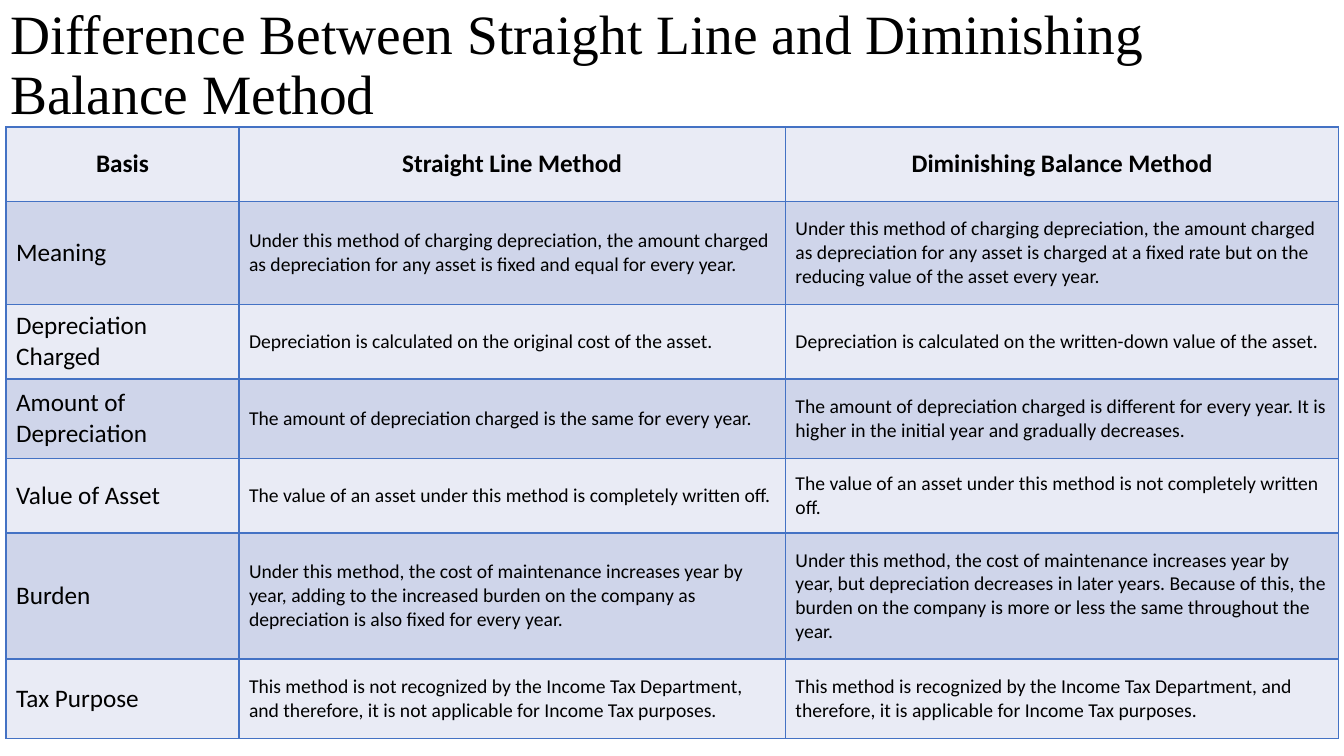
"""Build a slide that compares two methods of depreciation."""
from dataclasses import dataclass

from lxml import etree
from pptx import Presentation
from pptx.dml.color import RGBColor
from pptx.enum.text import MSO_ANCHOR, MSO_AUTO_SIZE, PP_ALIGN
from pptx.oxml.ns import qn
from pptx.util import Inches, Pt

MIDDLE = MSO_ANCHOR.MIDDLE
FIXED = MSO_AUTO_SIZE.NONE
LEFT, CENTER = PP_ALIGN.LEFT, PP_ALIGN.CENTER
COLORS = {"ink": "000000", "line": "4472C4", "pale": "E9EBF5", "band": "CFD5EA"}
TITLE = "Difference Between Straight Line and Diminishing Balance Method"
COLS = (2.31, 5.42, 5.49)


@dataclass
class Row:
    """One row of the table, with its height in inches."""
    height: float
    basis: str
    straight: str
    falling: str


ROWS = [
    Row(0.74, "Basis", "Straight Line Method", "Diminishing Balance Method"),
    Row(1.02, "Meaning",
        "Under this method of charging depreciation, the amount charged as "
        "depreciation for any asset is fixed and equal for every year.",
        "Under this method of charging depreciation, the amount charged as "
        "depreciation for any asset is charged at a fixed rate but on the "
        "reducing value of the asset every year."),
    Row(0.74, "Depreciation Charged",
        "Depreciation is calculated on the original cost of the asset.",
        "Depreciation is calculated on the written-down value of the asset."),
    Row(0.79, "Amount of Depreciation",
        "The amount of depreciation charged is the same for every year.",
        "The amount of depreciation charged is different for every year. "
        "It is higher in the initial year and gradually decreases."),
    Row(0.74, "Value of Asset",
        "The value of an asset under this method is completely written off.",
        "The value of an asset under this method is not completely written off."),
    Row(1.25, "Burden",
        "Under this method, the cost of maintenance increases year by year, "
        "adding to the increased burden on the company as depreciation is "
        "also fixed for every year.",
        "Under this method, the cost of maintenance increases year by year, "
        "but depreciation decreases in later years. Because of this, the "
        "burden on the company is more or less the same throughout the year."),
    Row(0.79, "Tax Purpose",
        "This method is not recognized by the Income Tax Department, and "
        "therefore, it is not applicable for Income Tax purposes.",
        "This method is recognized by the Income Tax Department, and "
        "therefore, it is applicable for Income Tax purposes."),
]


def apply(target, values: dict) -> None:
    """Set each named attribute on the target."""
    for name, value in values.items():
        setattr(target, name, value)


def write(frame, text: str, para: dict, font: dict) -> None:
    """Put one formatted paragraph in a text frame."""
    line = frame.paragraphs[0]
    apply(line, para)
    run = line.add_run()
    run.text = text
    apply(run.font, font)
    run.font.color.rgb = RGBColor.from_string(COLORS["ink"])


def border(cell) -> None:
    """Draw a thin line on all four sides of a cell."""
    props = cell._tc.get_or_add_tcPr()
    for place, side in enumerate(("a:lnL", "a:lnR", "a:lnT", "a:lnB")):
        line = etree.Element(qn(side), w=str(Pt(1)))
        fill = etree.SubElement(line, qn("a:solidFill"))
        etree.SubElement(fill, qn("a:srgbClr"), val=COLORS["line"])
        props.insert(place, line)


def draw_table(slide) -> None:
    """Add the table and fill its cells."""
    high = sum(row.height for row in ROWS)
    table = slide.shapes.add_table(
        len(ROWS), len(COLS), Inches(0.06), Inches(1.26),
        Inches(sum(COLS)), Inches(high)).table
    apply(table, {"first_row": False, "horz_banding": False})
    for col, width in zip(table.columns, COLS):
        col.width = Inches(width)
    for r, row in enumerate(ROWS):
        table.rows[r].height = Inches(row.height)
        shade = COLORS["band" if r % 2 else "pale"]
        for c, text in enumerate((row.basis, row.straight, row.falling)):
            cell = table.cell(r, c)
            cell.vertical_anchor = MIDDLE
            cell.fill.solid()
            cell.fill.fore_color.rgb = RGBColor.from_string(shade)
            border(cell)
            head = r == 0
            size = Pt(18 if head or c == 0 else 14)
            write(cell.text_frame, text, {"alignment": CENTER if head else LEFT},
                  {"name": "Calibri", "size": size, "bold": head})


def draw_title(slide) -> None:
    """Place and format the title."""
    title = slide.shapes.title
    apply(title, {"left": Inches(0), "top": Inches(0),
                  "width": Inches(12.61), "height": Inches(1.32)})
    apply(title.text_frame, {"auto_size": FIXED, "word_wrap": True,
                             "vertical_anchor": MIDDLE})
    write(title.text_frame, TITLE, {"alignment": LEFT, "line_spacing": 0.9},
          {"name": "Times New Roman", "size": Pt(39.6)})


def main() -> None:
    """Build and save the slide."""
    deck = Presentation()
    apply(deck, {"slide_width": Inches(13.33), "slide_height": Inches(7.5)})
    slide = deck.slides.add_slide(deck.slide_layouts[5])
    draw_table(slide)
    draw_title(slide)
    deck.save("out.pptx")


if __name__ == "__main__":
    main()
